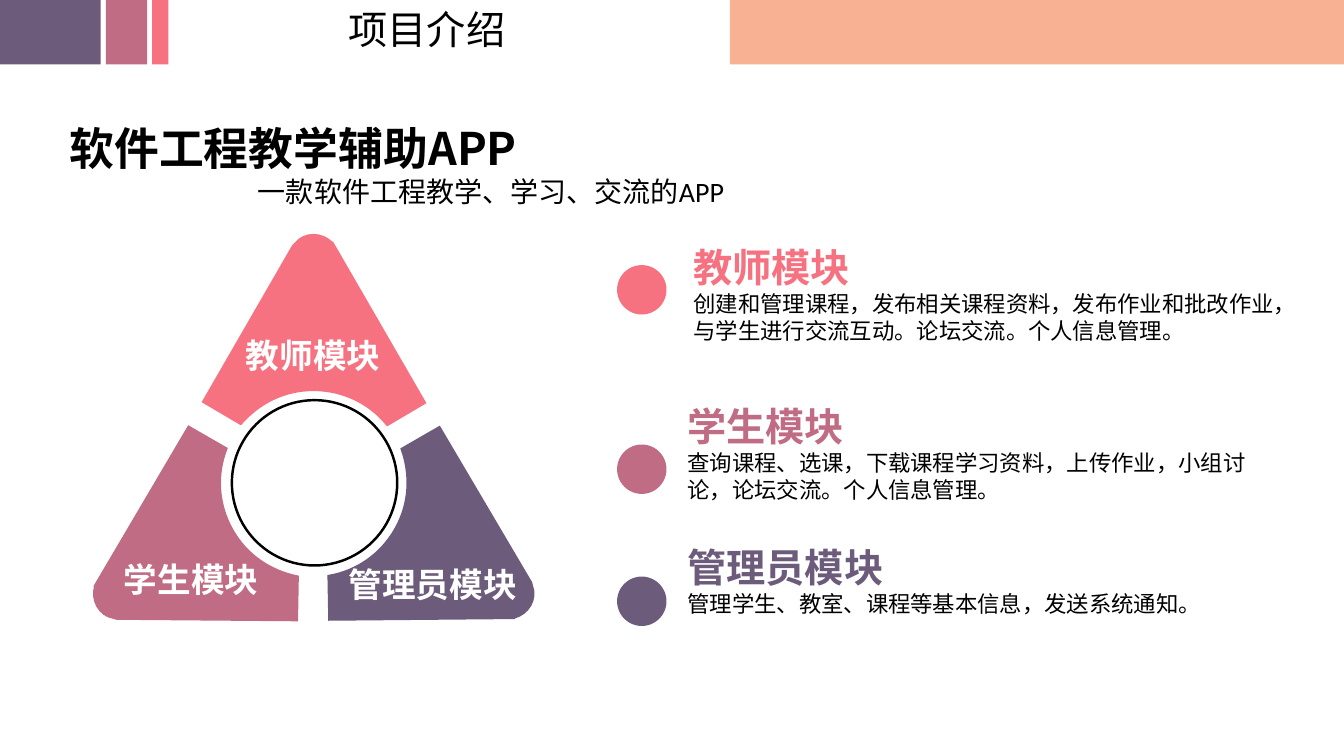
from pptx import Presentation
from pptx import util as u
from pptx.dml.color import RGBColor
from pptx.enum import shapes, text
from lxml import etree

PX = 9144  # 100 px to the inch
COLORS = {
    "teacher": "F67280",
    "student": "C06C84",
    "admin": "6C5B7B",
    "peach": "F8B193",
    "black": "000000",
    "white": "FFFFFF",
}
SANS, LATIN = "Noto Sans CJK SC", "Calibri"
DRAWING = "{http://schemas.openxmlformats.org/drawingml/2006/main}"

# Measured from the petal's top left; pairs are corners, six numbers a Bezier curve.
PETAL_START = (111, 0)
PETAL_OUTLINE = [
    (118, 0, 125, 3, 130, 8), (132, 11), (130, 7), (223, 168), (184, 191),
    (183, 190), (166, 169, 140, 156, 111, 156),
    (82, 156, 57, 169, 39, 190), (0, 167), (90, 11), (93, 8),
    (97, 3, 104, 0, 111, 0),
]
PETALS = [
    ("student", 67, 459, 240.5),
    ("admin", 332, 459, 119.5),
    ("teacher", 200, 232, 0),
]
HEADER_BARS = [
    (724, 609, "peach"), (0, 100, "admin"),
    (105, 41, "student"), (151, 16, "teacher"),
]
PETAL_LABELS = [
    ("教师模块", (234, 327, 156, 50)),
    ("学生模块", (113, 550, 156, 50)),
    ("管理员模块", (336, 555, 189, 50)),
]
MODULES = [
    ("教师模块", "teacher", 263, (678, 236, 605, 111),
     "创建和管理课程，发布相关课程资料，发布作业和批改作业，与学生进行交流互动。论坛交流。个人信息管理。"),
    ("学生模块", "student", 441, (672, 394, 590, 111),
     "查询课程、选课，下载课程学习资料，上传作业，小组讨论，论坛交流。个人信息管理。"),
    ("管理员模块", "admin", 572, (672, 534, 536, 84),
     "管理学生、教室、课程等基本信息，发送系统通知。"),
]


def color(name):
    return RGBColor.from_string(COLORS[name])


def paint(shape, fill=None, line=None):
    shape.shadow.inherit = False
    if fill:
        shape.fill.solid()
        shape.fill.fore_color.rgb = color(fill)
    else:
        shape.fill.background()
    if line:
        shape.line.color.rgb = color(line)
        shape.line.width = u.Pt(1.75)
    else:
        shape.line.fill.background()


def add_preset(page, kind, at, fill=None, line=None):
    paint(page.shapes.add_shape(kind, *(n * PX for n in at)), fill, line)


def bend(segment, piece):
    """Turn a straight path segment into a Bezier curve."""
    segment.tag = DRAWING + "cubicBezTo"
    for point in list(segment):
        segment.remove(point)
    for x, y in zip(piece[::2], piece[1::2]):
        etree.SubElement(segment, DRAWING + "pt", x=str(x * PX), y=str(y * PX))


def add_petal(page, fill, left, top, rotation):
    builder = page.shapes.build_freeform(*PETAL_START, scale=PX)
    builder.add_line_segments([piece[-2:] for piece in PETAL_OUTLINE], close=True)
    petal = builder.convert_to_shape(left * PX, top * PX)
    petal.left, petal.top = left * PX, top * PX
    petal.rotation = rotation
    paint(petal, fill)

    outline = next(petal._element.iter(DRAWING + "path"))
    outline.set("w", str(petal.width))
    outline.set("h", str(petal.height))
    for point in outline.iter(DRAWING + "pt"):
        for axis in ("x", "y"):
            point.set(axis, str(int(point.get(axis)) * PX))
    segments = outline.findall(DRAWING + "lnTo")
    for segment, piece in zip(segments, PETAL_OUTLINE):
        if len(piece) == 6:
            bend(segment, piece)


def add_text(page, at, lines, wrap=True):
    """Each line is (wording, size, font, colour, bold, indent in px)."""
    box = page.shapes.add_textbox(*(n * PX for n in at))
    frame = box.text_frame
    frame.text = "\n".join(line[0] for line in lines)
    frame.word_wrap = wrap
    frame.auto_size = text.MSO_AUTO_SIZE.SHAPE_TO_FIT_TEXT
    for para, (_, size, font, ink, bold, indent) in zip(frame.paragraphs, lines):
        if indent:
            para._p.get_or_add_pPr().set("marL", str(indent * PX))
        span = para.runs[0]
        span.font.size = u.Pt(size)
        span.font.bold = bold
        span.font.color.rgb = color(ink)
        span.font.name = font
        etree.SubElement(span._r.get_or_add_rPr(), DRAWING + "ea", typeface=SANS)


def add_module(page, name, ink, dot_top, at, description):
    add_preset(page, shapes.MSO_SHAPE.OVAL, (612, dot_top, 49, 49), ink)
    add_text(page, at, [(name, 28, LATIN, ink, True, 0),
                        (description, 16, SANS, "black", False, 0)])


def main():
    deck = Presentation()
    deck.slide_width, deck.slide_height = 1333 * PX, 750 * PX
    page = deck.slides.add_slide(deck.slide_layouts[6])

    for left, width, fill in HEADER_BARS:
        add_preset(page, shapes.MSO_SHAPE.RECTANGLE, (left, 0, width, 64), fill)
    add_text(page, (336, 0, 177, 57),
             [("项目介绍", 28, SANS, "black", False, 0)], wrap=False)
    add_text(page, (59, 115, 713, 98), [
        ("软件工程教学辅助APP", 32, SANS, "black", True, 0),
        ("一款软件工程教学、学习、交流的APP", 20, LATIN, "black", False, 187),
    ])

    for petal in PETALS:
        add_petal(page, *petal)
    add_preset(page, shapes.MSO_SHAPE.OVAL, (230, 397, 164, 164), line="black")
    for name, at in PETAL_LABELS:
        add_text(page, at, [(name, 24, SANS, "white", True, 0)], wrap=False)

    for module in MODULES:
        add_module(page, *module)
    deck.save("out.pptx")


if __name__ == "__main__":
    main()
